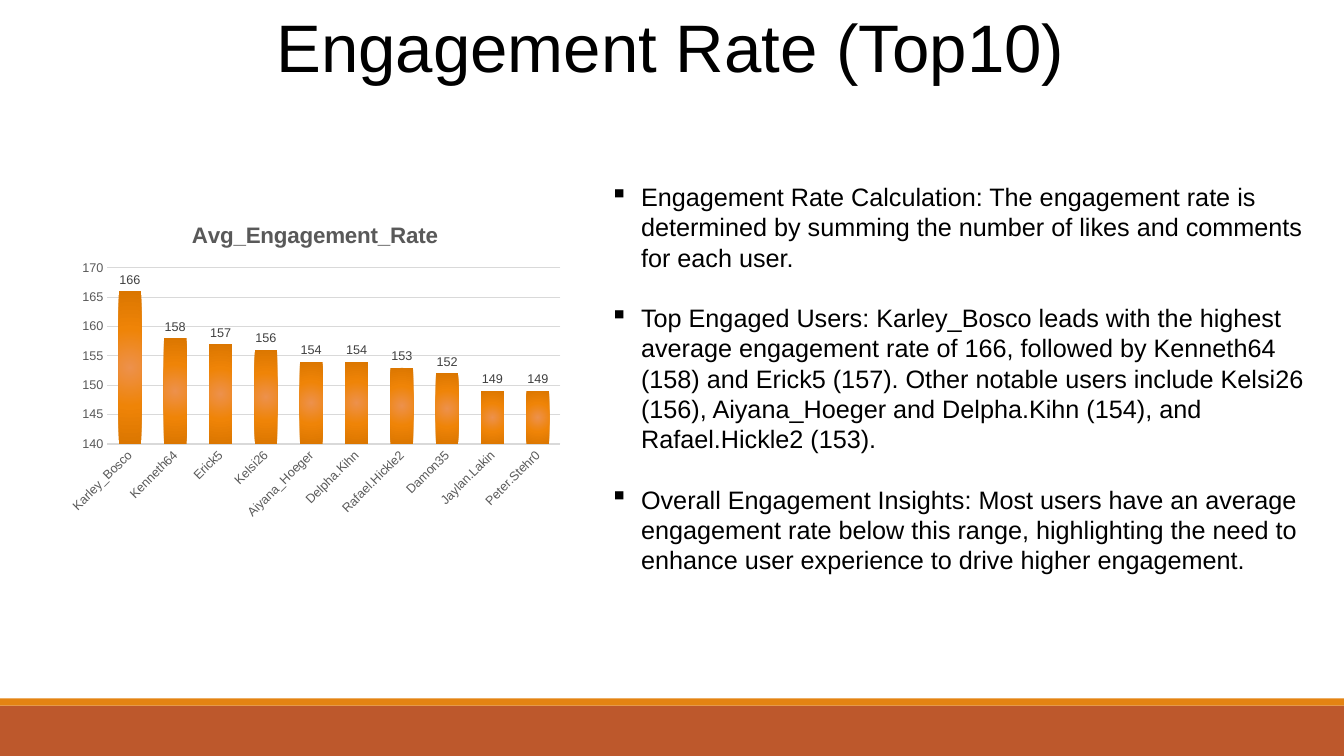
from lxml.etree import SubElement
from pptx import Presentation
from pptx.chart.data import CategoryChartData
from pptx.dml.color import RGBColor
from pptx.enum.chart import XL_CHART_TYPE, XL_LABEL_POSITION, XL_TICK_MARK
from pptx.enum.shapes import MSO_SHAPE
from pptx.enum.text import MSO_ANCHOR, PP_ALIGN
from pptx.oxml import parse_xml
from pptx.oxml.ns import nsdecls, qn
from pptx.util import Inches, Pt

RATES = {
    "Karley_Bosco": 166, "Kenneth64": 158, "Erick5": 157, "Kelsi26": 156,
    "Aiyana_Hoeger": 154, "Delpha.Kihn": 154, "Rafael.Hickle2": 153,
    "Damon35": 152, "Jaylan.Lakin": 149, "Peter.Stehr0": 149,
}
POINTS = [
    "Engagement Rate Calculation: The engagement rate is determined by summing "
    "the number of likes and comments for each user.",
    "Top Engaged Users: Karley_Bosco leads with the highest average engagement "
    "rate of 166, followed by Kenneth64 (158) and Erick5 (157). Other notable "
    "users include Kelsi26 (156), Aiyana_Hoeger and Delpha.Kihn (154), and "
    "Rafael.Hickle2 (153).",
    "Overall Engagement Insights: Most users have an average engagement rate "
    "below this range, highlighting the need to enhance user experience to "
    "drive higher engagement.",
]
BAR_GRADIENT = [(0, "ED914C"), (50, "EF8407"), (100, "DB7600")]


def rgb(value):
    return RGBColor.from_string(value)


class SlideBuilder:
    """Holds the deck style and draws elements on the current slide."""

    font_name = "Arial"
    ink, grey, rule = "000000", "595959", "D9D9D9"

    def __init__(self, prs):
        self.s = prs.slides.add_slide(prs.slide_layouts[5])

    def style(self, font, size, color, bold=False):
        font.name, font.size, font.bold = self.font_name, Pt(size), bold
        font.color.rgb = rgb(color)

    def band(self, top, height, color):
        sp = self.s.shapes.add_shape(
            MSO_SHAPE.RECTANGLE, 0, Inches(top), Inches(13.33), Inches(height))
        sp.shadow.inherit = False
        sp.fill.solid()
        sp.fill.fore_color.rgb = rgb(color)
        sp.line.fill.background()

    def title(self, text, x, y, w, h):
        sp = self.s.shapes.title
        sp.left, sp.top, sp.width, sp.height = map(Inches, (x, y, w, h))
        tf = sp.text_frame
        tf.text = text
        tf.vertical_anchor = MSO_ANCHOR.TOP
        p = tf.paragraphs[0]
        p.alignment = PP_ALIGN.LEFT
        self.style(p.font, 48, self.ink)

    def bullets(self, items, x, y, w, h):
        tf = self.s.shapes.add_textbox(*map(Inches, (x, y, w, h))).text_frame
        tf.word_wrap = True
        tf.margin_top = Inches(0.35)
        for i, item in enumerate(items):
            p = tf.paragraphs[0] if i == 0 else tf.add_paragraph()
            p.text = item
            p.space_before = Pt(21.6 if i else 0)
            self.style(p.font, 18, self.ink)
            pPr = p._p.get_or_add_pPr()
            pPr.set("marL", str(Inches(0.31)))
            pPr.set("indent", str(Inches(-0.31)))
            bullet = parse_xml(f'<a:buChar {nsdecls("a")} char="▪"/>')
            pPr.insert_element_before(bullet, "a:tabLst", "a:defRPr", "a:extLst")

    def axis(self, axis):
        axis.major_tick_mark = axis.minor_tick_mark = XL_TICK_MARK.NONE
        self.style(axis.tick_labels.font, 9, self.grey)

    def gradient(self, fmt, stops):
        fmt.fill.gradient()
        grad = fmt._element.find(".//" + qn("a:gradFill"))
        for child in list(grad):
            grad.remove(child)
        gs_list = SubElement(grad, qn("a:gsLst"))
        for pos, color in stops:
            gs = SubElement(gs_list, qn("a:gs"), pos=str(pos * 1000))
            SubElement(gs, qn("a:srgbClr"), val=color)
        circle = SubElement(grad, qn("a:path"), path="circle")
        SubElement(circle, qn("a:fillToRect"), {side: "100000" for side in "ltrb"})

    def column_chart(self, title, values, x, y, w, h):
        data = CategoryChartData()
        data.categories = list(values)
        data.add_series("Series 1", list(values.values()))
        chart = self.s.shapes.add_chart(
            XL_CHART_TYPE.COLUMN_CLUSTERED, *map(Inches, (x, y, w, h)), data).chart
        self.style(chart.font, 10, self.ink)
        chart.has_legend = False
        chart.has_title = True
        tf = chart.chart_title.text_frame
        tf.text = title
        self.style(tf.paragraphs[0].font, 16, self.grey, bold=True)

        cat, val = chart.category_axis, chart.value_axis
        self.axis(cat)
        self.axis(val)
        cat.format.line.color.rgb = rgb(self.rule)
        cat.format.line.width = Pt(1)
        cat._element.find(qn("c:txPr")).find(qn("a:bodyPr")).set("rot", "-2700000")
        val.minimum_scale, val.maximum_scale, val.major_unit = 140, 170, 5
        val.format.line.fill.background()
        grid = val.major_gridlines.format.line
        grid.color.rgb, grid.width = rgb(self.rule), Pt(0.75)

        plot = chart.plots[0]
        plot.gap_width, plot.overlap, plot.vary_by_categories = 100, -24, False
        self.gradient(plot.series[0].format, BAR_GRADIENT)
        labels = plot.series[0].data_labels
        labels.show_value = True
        labels.position = XL_LABEL_POSITION.OUTSIDE_END
        self.style(labels.font, 9, "404040")


def main():
    prs = Presentation()
    prs.slide_width, prs.slide_height = Inches(13.33), Inches(7.5)
    slide = SlideBuilder(prs)
    slide.band(7, 0.5, "BD582C")
    slide.band(6.93, 0.07, "E48312")
    slide.column_chart("Avg_Engagement_Rate", RATES, 0.59, 2.03, 5.07, 3.19)
    slide.bullets(POINTS, 5.95, 1.45, 7.15, 4.34)
    slide.title("Engagement Rate (Top10)", 2.64, 0, 8.06, 0.91)
    prs.save("out.pptx")


if __name__ == "__main__":
    main()
